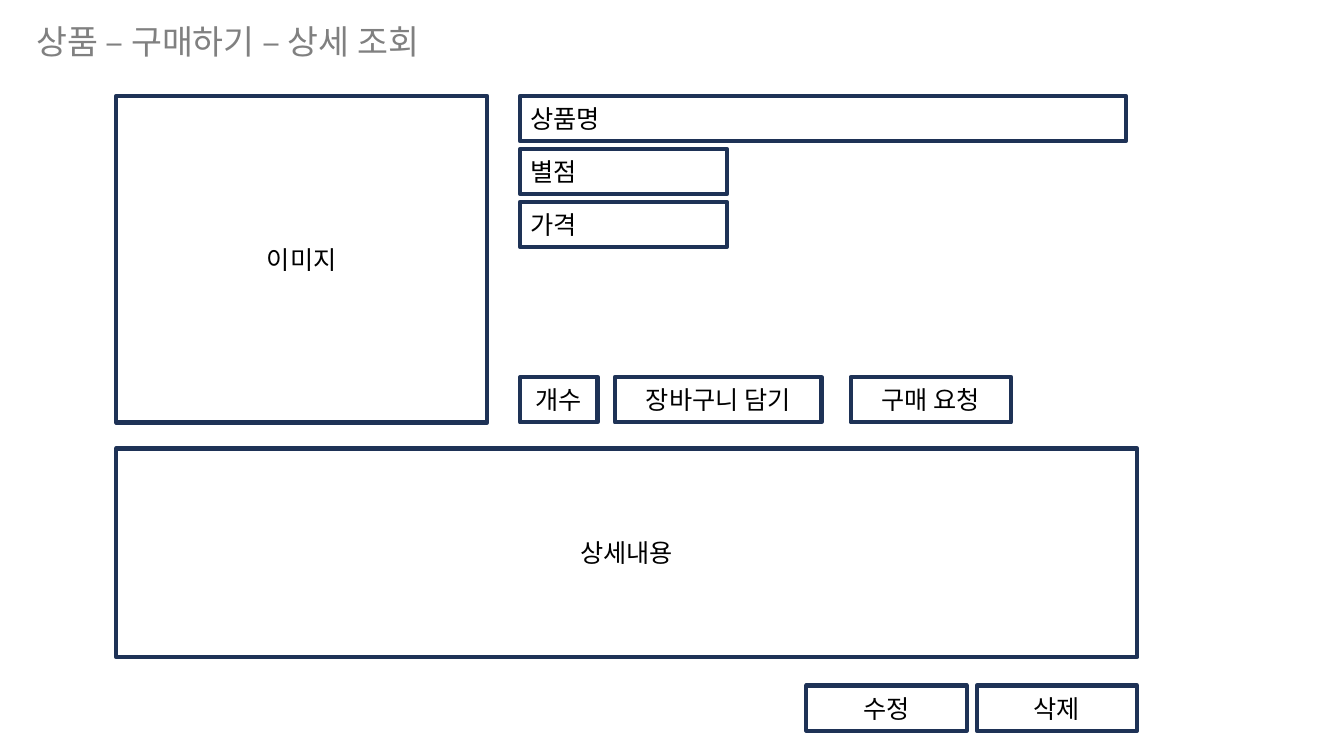
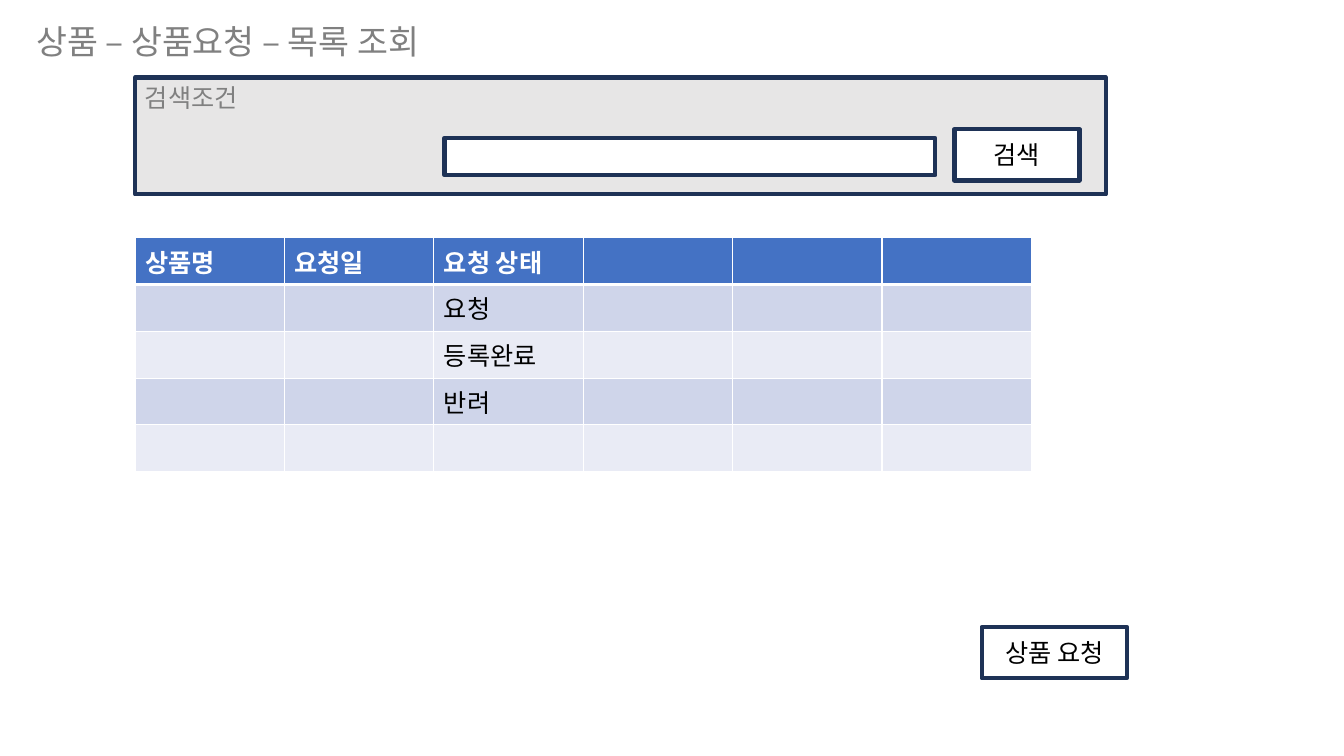
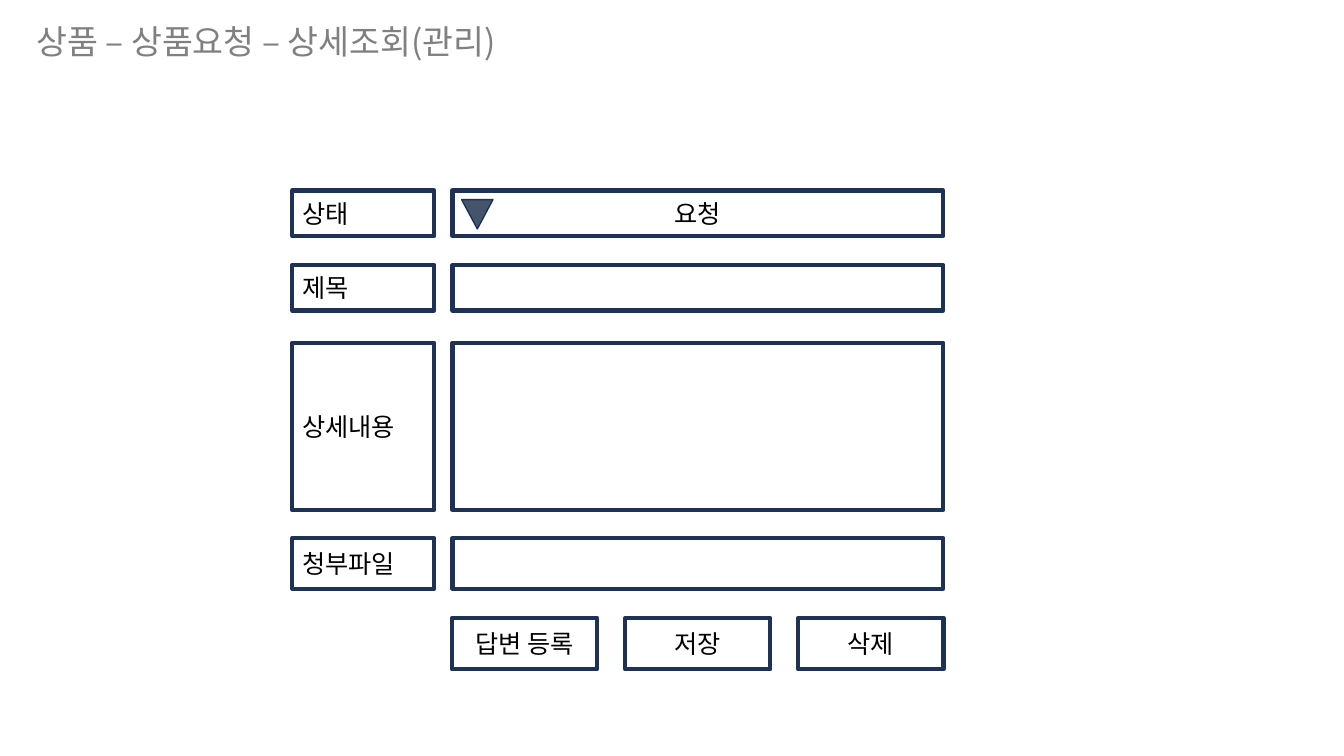
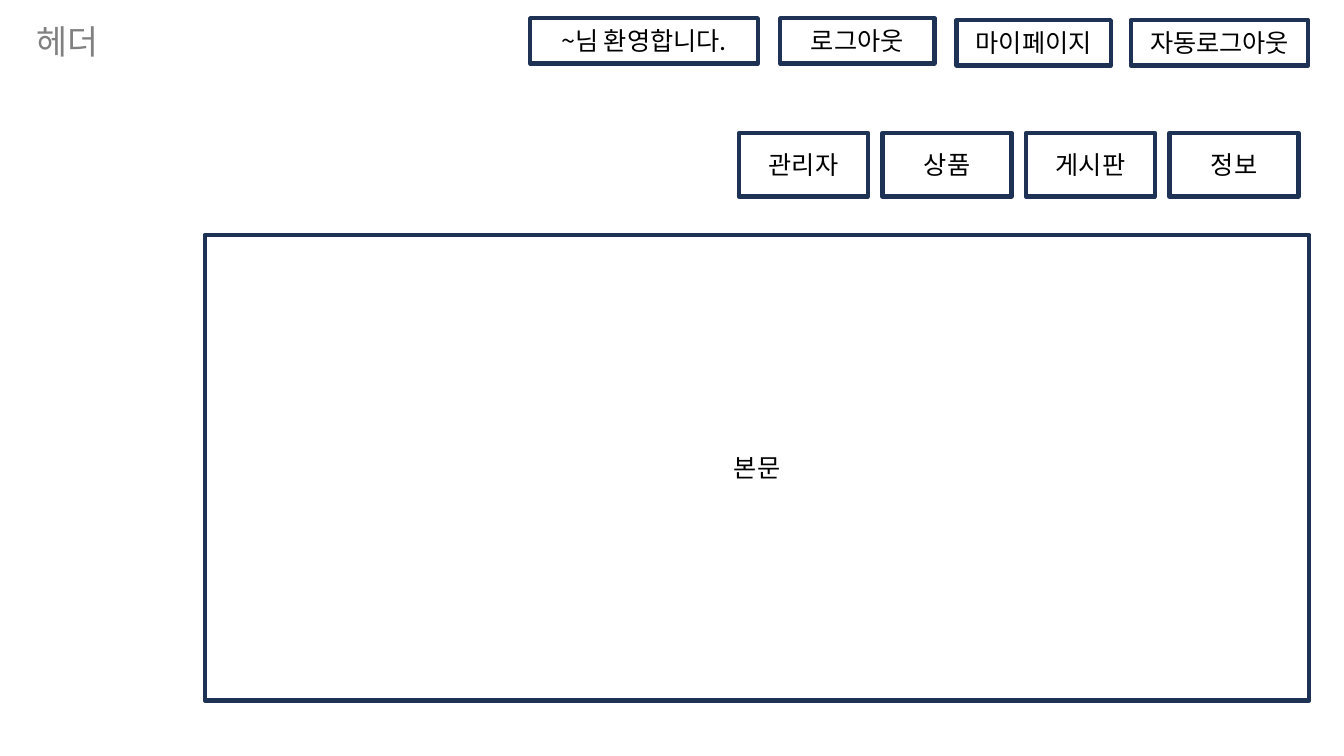
from lxml import etree
from pptx import Presentation
from pptx.dml.color import RGBColor
from pptx.enum import shapes, text
from pptx.oxml.ns import qn
from pptx.util import Pt

COLORS = {
    "navy": "1E3256", "white": "FFFFFF", "black": "000000", "gray": "808080",
    "panel": "E7E6E6", "slate": "44546A", "header": "4472C4",
    "band_dark": "CFD5EA", "band_light": "E9EBF5",
}
FONT = "Noto Sans CJK KR"
LINE_HEIGHT = 32.4
BUTTON_SIZE = (103.7, 36.7)
LEFT, CENTER = text.PP_ALIGN.LEFT, text.PP_ALIGN.CENTER
TOP, MIDDLE = text.MSO_ANCHOR.TOP, text.MSO_ANCHOR.MIDDLE


def rgb(name):
    return RGBColor.from_string(COLORS[name])


def write(text_frame, words, size=18, color="black", align=LEFT, bold=False):
    paragraph = text_frame.paragraphs[0]
    paragraph.text = words
    paragraph.alignment = align
    font = paragraph.font
    font.name, font.size, font.bold = FONT, Pt(size), bold
    font.color.rgb = rgb(color)


def add_titled_slide(presentation, title, width=540):
    slide = presentation.slides.add_slide(presentation.slide_layouts[5])
    shape = slide.shapes.title
    shape.left, shape.top, shape.width, shape.height = (
        Pt(18.7), Pt(11.5), Pt(width), Pt(33.1))
    frame = shape.text_frame
    frame.word_wrap = True
    frame.auto_size = text.MSO_AUTO_SIZE.NONE
    frame.vertical_anchor = TOP
    write(frame, title, size=24, color="gray")
    return slide


def add_shape(slide, kind, left, top, width, height, fill, line_width):
    shape = slide.shapes.add_shape(kind, Pt(left), Pt(top), Pt(width), Pt(height))
    shape.shadow.inherit = False
    shape.fill.solid()
    shape.fill.fore_color.rgb = rgb(fill)
    shape.line.color.rgb = rgb("navy")
    shape.line.width = Pt(line_width)
    return shape


def add_box(slide, left, top, width, height, words="", align=CENTER,
            fill="white", color="black", anchor=MIDDLE):
    shape = add_shape(slide, shapes.MSO_SHAPE.RECTANGLE, left, top, width, height, fill, 3)
    if words:
        shape.text_frame.vertical_anchor = anchor
        write(shape.text_frame, words, color=color, align=align)


def set_borders(cell, top, bottom):
    properties = cell._tc.get_or_add_tcPr()
    widths = {"lnL": 1, "lnR": 1, "lnT": top, "lnB": bottom}
    for index, (tag, width) in enumerate(widths.items()):
        line = etree.Element(qn(f"a:{tag}"), w=str(Pt(width)))
        fill = etree.SubElement(line, qn("a:solidFill"))
        etree.SubElement(fill, qn("a:srgbClr"), val=COLORS["white"])
        properties.insert(index, line)


def add_grid(slide, left, top, column_width, row_height, rows):
    columns = len(rows[0])
    table = slide.shapes.add_table(
        len(rows), columns, Pt(left), Pt(top),
        Pt(column_width * columns), Pt(row_height * len(rows))).table
    for column in table.columns:
        column.width = Pt(column_width)
    for row_index, words_in_row in enumerate(rows):
        table.rows[row_index].height = Pt(row_height)
        is_header = row_index == 0
        band = "band_dark" if row_index % 2 else "band_light"
        for column_index, words in enumerate(words_in_row):
            cell = table.cell(row_index, column_index)
            cell.fill.solid()
            cell.fill.fore_color.rgb = rgb("header" if is_header else band)
            set_borders(cell, 3 if row_index == 1 else 1, 3 if is_header else 1)
            write(cell.text_frame, words, bold=is_header,
                  color="white" if is_header else "black")


def apply_east_asian_font(presentation):
    for slide in presentation.slides:
        for latin in list(slide.element.iter(qn("a:latin"))):
            latin.addnext(etree.Element(qn("a:ea"), typeface=FONT))


def build_product_detail(presentation):
    slide = add_titled_slide(presentation, "상품 – 구매하기 – 상세 조회", 335.5)
    add_box(slide, 83, 68.5, 265, 233.3, "이미지")
    # Product facts
    facts = [("상품명", 432.7), ("별점", 147.6), ("가격", 147.6)]
    for index, (words, width) in enumerate(facts):
        add_box(slide, 371.5, 68.5 + 37.8 * index, width, LINE_HEIGHT, words, LEFT)
    # Order buttons
    for left, width, words in [(371.5, 55.4, "개수"), (439.2, 147.6, "장바구니 담기"),
                               (607.7, 114.5, "구매 요청")]:
        add_box(slide, left, 269.3, width, LINE_HEIGHT, words)
    # Description and its buttons
    add_box(slide, 83, 320.4, 729.4, 149, "상세내용")
    for index, words in enumerate(["수정", "삭제"]):
        add_box(slide, 576 + 121.7 * index, 489.6, 114.5, LINE_HEIGHT, words)


def build_request_list(presentation):
    slide = add_titled_slide(presentation, "상품 – 상품요청 – 목록 조회")
    # Search panel
    add_box(slide, 96.5, 55.4, 693.4, 83.5, "검색조건", LEFT, "panel", "gray", TOP)
    add_box(slide, 681.8, 92.2, 89.3, 36.7, "검색")
    add_box(slide, 317.5, 98.6, 350.6, 26.6)
    # Request table
    rows = [["상품명", "요청일", "요청 상태", "", "", ""]]
    rows += [["", "", status, "", "", ""] for status in ("요청", "등록완료", "반려", "")]
    add_grid(slide, 96.5, 169.9, 106.7, 33.4, rows)
    add_box(slide, 701.3, 447.8, *BUTTON_SIZE, "상품 요청")


def build_request_detail(presentation):
    slide = add_titled_slide(presentation, "상품 – 상품요청 – 상세조회(관리)")
    # Form rows: label and field
    for top, height, label, value in [
            (136.1, LINE_HEIGHT, "상태", "요청"), (189.4, LINE_HEIGHT, "제목", ""),
            (244.8, 119.5, "상세내용", ""), (384.5, 36, "청부파일", "")]:
        add_box(slide, 208.8, top, 101.5, height, label, LEFT)
        add_box(slide, 323.3, top, 350.6, height, value)
    arrow = add_shape(slide, shapes.MSO_SHAPE.ISOSCELES_TRIANGLE,
                      329.8, 142.6, 22.3, 20.9, "slate", 1)
    arrow.rotation = 180
    # Form buttons
    for index, words in enumerate(["답변 등록", "저장", "삭제"]):
        add_box(slide, 322.9 + 123.7 * index, 441.4, *BUTTON_SIZE, words)


def build_header(presentation):
    slide = add_titled_slide(presentation, "헤더", 335.5)
    add_box(slide, 146.2, 167.8, 789.1, 332.6, "본문")
    # Account bar
    for left, top, width, words in [
            (378.7, 13, 162.7, "~님 환영합니다."), (557.3, 13, 110.2, "로그아웃"),
            (683.3, 14.4, 110.2, "마이페이지"), (807.8, 14.4, 126.7, "자동로그아웃")]:
        add_box(slide, left, top, width, LINE_HEIGHT, words)
    # Main menu
    for index, words in enumerate(["관리자", "상품", "게시판", "정보"]):
        add_box(slide, 527.8 + 102.5 * index, 95, 92.2, 45.4, words)


def main():
    presentation = Presentation()
    presentation.slide_width, presentation.slide_height = Pt(960), Pt(540)
    build_product_detail(presentation)
    build_request_list(presentation)
    build_request_detail(presentation)
    build_header(presentation)
    apply_east_asian_font(presentation)
    presentation.save("out.pptx")


if __name__ == "__main__":
    main()
